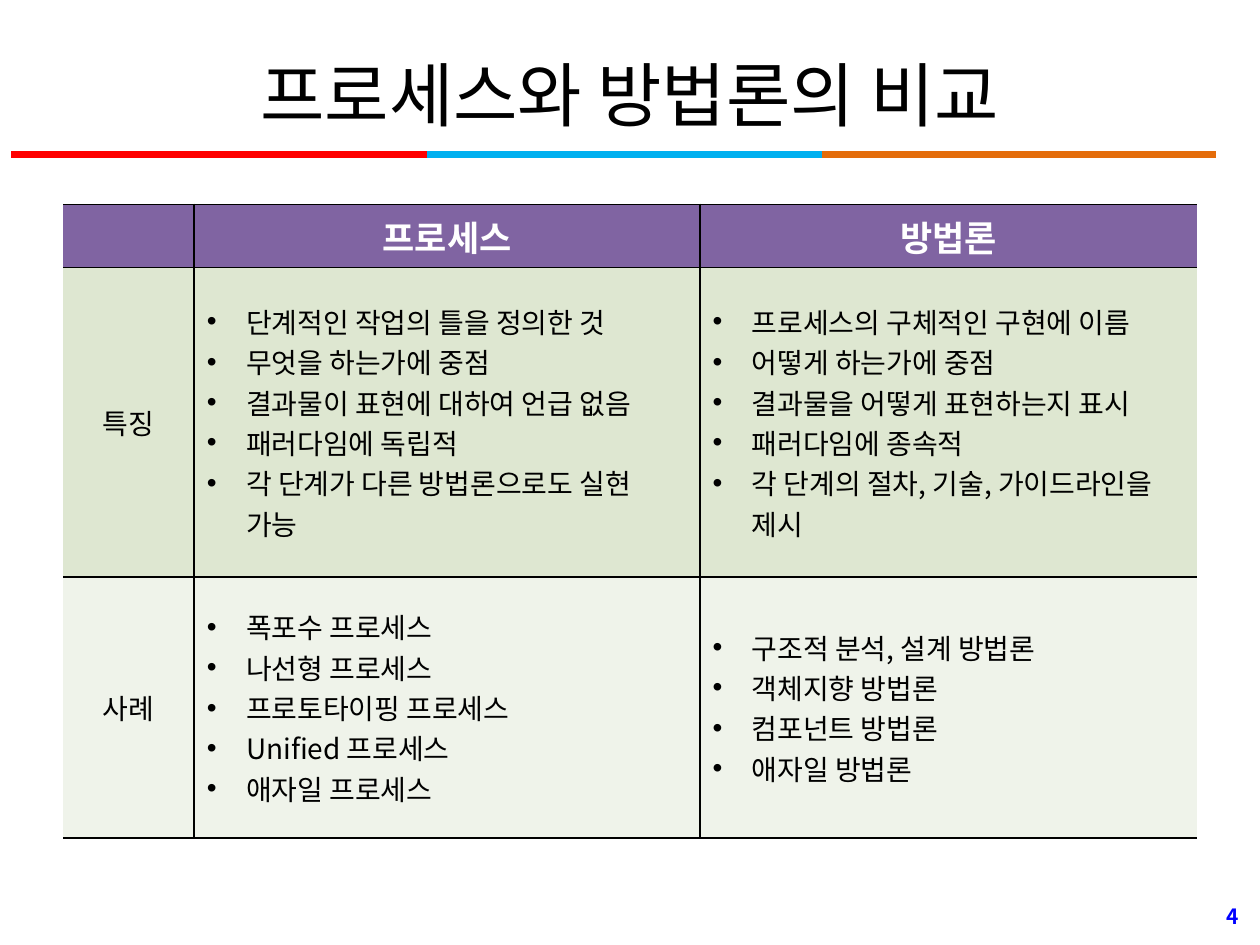
from dataclasses import dataclass

from lxml import etree
from pptx import Presentation
from pptx.dml.color import RGBColor
from pptx.enum.shapes import MSO_CONNECTOR as CONN
from pptx.enum.text import MSO_ANCHOR as ANCHOR, PP_ALIGN as ALIGN
from pptx.oxml.ns import qn
from pptx.util import Pt

FONT = "Noto Sans CJK KR"
BLACK = RGBColor(0x00, 0x00, 0x00)
WHITE = RGBColor(0xFF, 0xFF, 0xFF)
RED = RGBColor(0xFF, 0x00, 0x00)
SKY = RGBColor(0x00, 0xB0, 0xF0)
ORANGE = RGBColor(0xE4, 0x6C, 0x0A)
BLUE = RGBColor(0x00, 0x00, 0xFF)
PURPLE = RGBColor(0x80, 0x64, 0xA2)
GREEN = RGBColor(0xDE, 0xE7, 0xD1)
PALE_GREEN = RGBColor(0xEF, 0xF3, 0xEA)

RULE_Y = 88.56
COL_WIDTHS = (75, 289, 284)
BULLET_INDENT = 22.5


@dataclass(frozen=True)
class Style:
    size: float
    color: RGBColor = BLACK
    bold: bool = False
    align: ALIGN = ALIGN.LEFT


@dataclass(frozen=True)
class RuleSegment:
    x1: float
    x2: float
    color: RGBColor


@dataclass(frozen=True)
class Row:
    height: float
    fill: RGBColor
    style: Style
    label: str
    process: tuple[str, ...]
    method: tuple[str, ...]
    bulleted: bool = True


TITLE = Style(40, align=ALIGN.CENTER)
HEADER = Style(20, WHITE, True, ALIGN.CENTER)
LABEL = Style(16, align=ALIGN.CENTER)
BODY = Style(16)
PAGE_NUMBER = Style(12, BLUE, True, ALIGN.RIGHT)

SEGMENTS = (
    RuleSegment(6.5, 244, RED),
    RuleSegment(469.5, 695, ORANGE),
    RuleSegment(244, 469.5, SKY),
)

ROWS = (
    Row(36, PURPLE, HEADER, "", ("프로세스",), ("방법론",), bulleted=False),
    Row(177, GREEN, BODY, "특징",
        ("단계적인 작업의 틀을 정의한 것",
         "무엇을 하는가에 중점",
         "결과물이 표현에 대하여 언급 없음",
         "패러다임에 독립적",
         "각 단계가 다른 방법론으로도 실현 가능"),
        ("프로세스의 구체적인 구현에 이름",
         "어떻게 하는가에 중점",
         "결과물을 어떻게 표현하는지 표시",
         "패러다임에 종속적",
         "각 단계의 절차, 기술, 가이드라인을 제시")),
    Row(149, PALE_GREEN, BODY, "사례",
        ("폭포수 프로세스",
         "나선형 프로세스",
         "프로토타이핑 프로세스",
         "Unified 프로세스",
         "애자일 프로세스"),
        ("구조적 분석, 설계 방법론",
         "객체지향 방법론",
         "컴포넌트 방법론",
         "애자일 방법론")),
)


def write(tf, text: str, style: Style) -> None:
    tf.text = text
    for p in tf.paragraphs:
        p.alignment = style.align
        for r in p.runs:
            r.font.size = Pt(style.size)
            r.font.bold = style.bold
            r.font.color.rgb = style.color
            r.font.name = FONT
            etree.SubElement(r._r.get_or_add_rPr(), qn("a:ea"), typeface=FONT)


def add_text(s, x: float, y: float, w: float, h: float, text: str, style: Style) -> None:
    tf = s.shapes.add_textbox(Pt(x), Pt(y), Pt(w), Pt(h)).text_frame
    tf.word_wrap = True
    tf.vertical_anchor = ANCHOR.MIDDLE
    write(tf, text, style)


def add_rule(s, segment: RuleSegment) -> None:
    line = s.shapes.add_connector(
        CONN.STRAIGHT, Pt(segment.x1), Pt(RULE_Y), Pt(segment.x2), Pt(RULE_Y))
    line.line.color.rgb = segment.color
    line.line.width = Pt(4)
    etree.SubElement(line._element.spPr, qn("a:effectLst"))


def add_bullets(tf) -> None:
    for p in tf.paragraphs:
        pPr = p._p.get_or_add_pPr()
        pPr.set("marL", str(Pt(BULLET_INDENT)))
        pPr.set("indent", str(-Pt(BULLET_INDENT)))
        etree.SubElement(pPr, qn("a:buFont"), typeface="Arial")
        etree.SubElement(pPr, qn("a:buChar"), char="•")


def set_borders(cell, col: int) -> None:
    """Rule every side of the cell except the table's outer left and right."""
    tcPr = cell._tc.get_or_add_tcPr()
    shown = {"lnL": col > 0, "lnR": col < len(COL_WIDTHS) - 1, "lnT": True, "lnB": True}
    for i, (tag, visible) in enumerate(shown.items()):
        ln = etree.Element(qn(f"a:{tag}"), w=str(Pt(1)))
        tcPr.insert(i, ln)
        if visible:
            fill = etree.SubElement(ln, qn("a:solidFill"))
            etree.SubElement(fill, qn("a:srgbClr"), val=str(BLACK))
        else:
            etree.SubElement(ln, qn("a:noFill"))


def add_comparison(s) -> None:
    height = sum(row.height for row in ROWS)
    table = s.shapes.add_table(len(ROWS), len(COL_WIDTHS), Pt(36), Pt(116.75),
                               Pt(sum(COL_WIDTHS)), Pt(height)).table
    for column, width in zip(table.columns, COL_WIDTHS):
        column.width = Pt(width)
    for i, row in enumerate(ROWS):
        table.rows[i].height = Pt(row.height)
        for j, lines in enumerate(((row.label,), row.process, row.method)):
            cell = table.cell(i, j)
            cell.vertical_anchor = ANCHOR.MIDDLE
            cell.fill.solid()
            cell.fill.fore_color.rgb = row.fill
            set_borders(cell, j)
            write(cell.text_frame, "\n".join(lines), row.style if j else LABEL)
            if j and row.bulleted:
                add_bullets(cell.text_frame)


def main() -> None:
    prs = Presentation()
    prs.slide_width, prs.slide_height = Pt(720), Pt(540)
    s = prs.slides.add_slide(prs.slide_layouts[6])
    for segment in SEGMENTS:
        add_rule(s, segment)
    add_text(s, 36, 17.25, 648, 72.75, "프로세스와 방법론의 비교", TITLE)
    add_comparison(s)
    add_text(s, 547.25, 509, 167.75, 28.75, "4", PAGE_NUMBER)
    prs.save("out.pptx")


if __name__ == "__main__":
    main()
